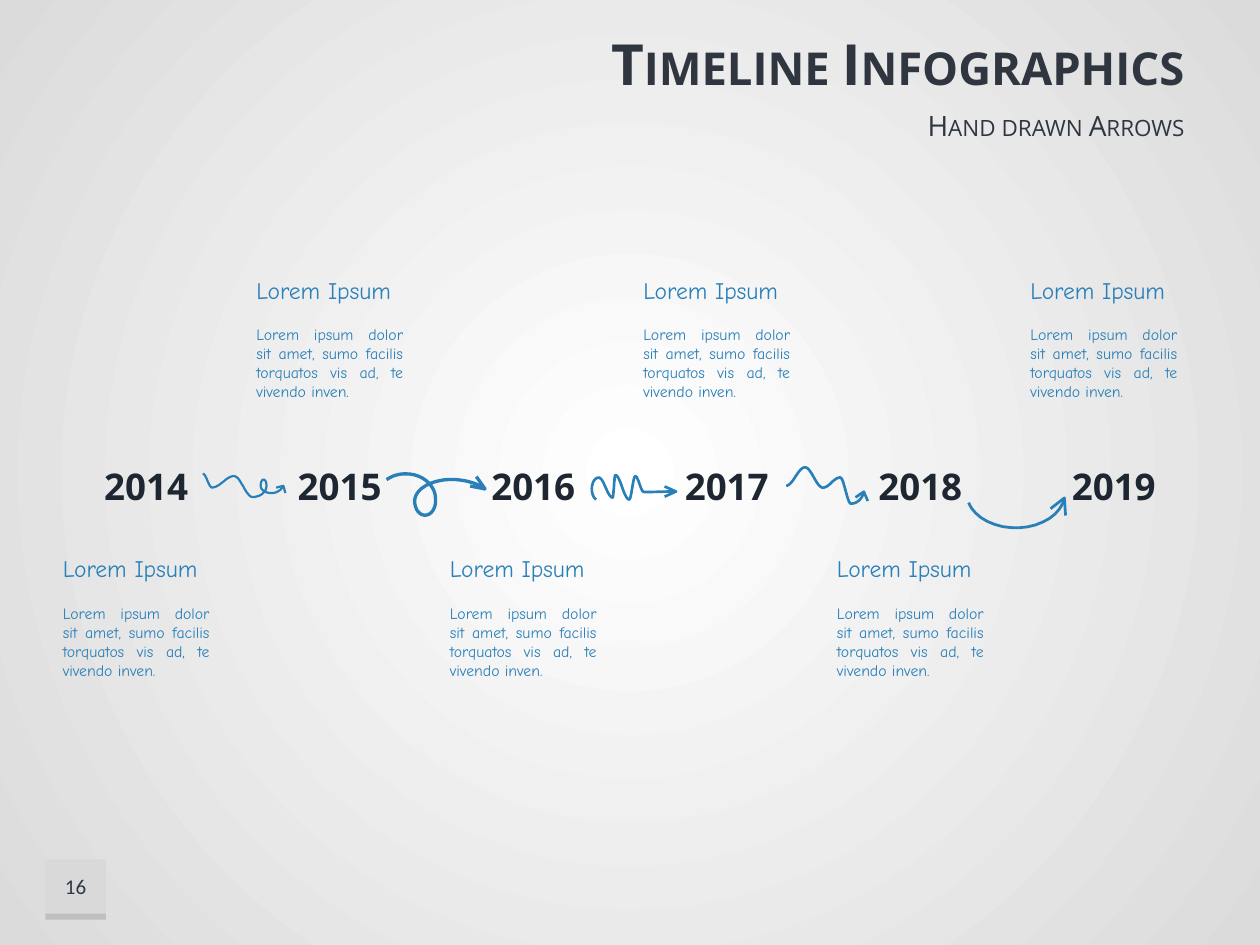
import math
from dataclasses import dataclass

from pptx import Presentation
from pptx.dml.color import RGBColor
from pptx.enum.shapes import MSO_SHAPE
from pptx.enum.text import MSO_ANCHOR, PP_ALIGN
from pptx.oxml import parse_xml
from pptx.oxml.ns import nsdecls, qn
from pptx.util import Inches, Pt

RECT = MSO_SHAPE.RECTANGLE
TOP, MIDDLE = MSO_ANCHOR.TOP, MSO_ANCHOR.MIDDLE
LEFT, CENTER, RIGHT, JUSTIFY = (PP_ALIGN.LEFT, PP_ALIGN.CENTER,
                                PP_ALIGN.RIGHT, PP_ALIGN.JUSTIFY)
WHITE = RGBColor(0xFF, 0xFF, 0xFF)
EDGE = RGBColor(0xDB, 0xDB, 0xDB)
TILE = RGBColor(0xD9, 0xD9, 0xD9)
BAR = RGBColor(0xBF, 0xBF, 0xBF)
SLATE = RGBColor(0x2F, 0x36, 0x40)
NUMBER = RGBColor(0x2F, 0x3A, 0x46)
INK = RGBColor(0x1D, 0x26, 0x31)
BLUE = RGBColor(0x29, 0x7F, 0xB8)

FIRST_YEAR, YEAR_COUNT = 2014, 6
HEADING = "Lorem Ipsum"
BODY = "Lorem ipsum dolor sit amet, sumo facilis torquatos vis ad, te vivendo inven."
PITCH = 1.536       # inches from one year to the next
STEPS = 16          # points per curve piece
UNITS = 1000        # freeform units per inch


def wave(*crests):
    """Swing through the crests, flat at each one."""
    points = []
    for (x0, y0), (x1, y1) in zip(crests, crests[1:]):
        for i in range(STEPS + 1):
            t = i / STEPS
            ease = (1 - math.cos(math.pi * t)) / 2
            points.append((x0 + (x1 - x0) * t, y0 + (y1 - y0) * ease))
    return points


def arc(cx, cy, rx, ry, start, sweep):
    """Part of an ellipse; degrees run clockwise from the right."""
    angles = (math.radians(start + sweep * i / STEPS) for i in range(STEPS + 1))
    return [(cx + rx * math.cos(a), cy + ry * math.sin(a)) for a in angles]


# Each curve is in shares of its arrow's box; its pieces join end to end.
def wave_with_curl():
    return (wave((0.03, 0.05), (0.14, 0.57), (0.4, 0.14), (0.62, 0.93))
            + arc(0.62, 0.5, 0.165, 0.43, 90, -90)      # rise into the curl
            + arc(0.75, 0.5, 0.035, 0.23, 0, -180)      # over its top
            + arc(0.84, 0.5, 0.125, 0.28, 180, -90)     # down and out
            + arc(0.84, 0.3, 0.16, 0.48, 90, -65))      # up to the tip


def big_loop():
    return (arc(0.19, 0.6, 0.3, 0.57, -130, 130)        # over and down
            + arc(0.385, 0.65, 0.105, 0.32, 0, 180)     # round the bottom
            + arc(0.65, 0.65, 0.37, 0.49, 180, 90)      # back up
            + arc(0.65, 0.76, 0.44, 0.6, -90, 50))      # down to the tip


def zigzag():
    return (arc(0.09, 0.55, 0.08, 0.41, 112, 158)       # opening hook
            + wave((0.09, 0.14), (0.25, 0.86), (0.28, 0.05), (0.44, 0.93),
                   (0.51, 0.09), (0.61, 0.66), (0.98, 0.64)))


def falling_wave():
    return (wave((0, 0.5), (0.24, 0.03), (0.47, 0.55), (0.69, 0.29), (0.83, 0.96))
            + arc(0.83, 0.55, 0.17, 0.41, 90, -75))     # up to the tip


def deep_bow():
    return arc(0.49, -0.1, 0.5, 1.06, 164, -156)


@dataclass
class Arrow:
    curve: list
    box: tuple          # left and top from the timeline's corner, width, height
    barb: float         # length of the head's strokes
    spread: float       # degrees between the shaft and each barb
    weight: float


ARROWS = [
    Arrow(wave_with_curl(), (1.19, 1.61, 0.67, 0.21), 0.06, 45, 1.25),
    Arrow(big_loop(), (2.67, 1.61, 0.79, 0.35), 0.12, 22, 1.9),
    Arrow(zigzag(), (4.29, 1.62, 0.69, 0.22), 0.1, 24, 1.5),
    Arrow(falling_wave(), (5.84, 1.56, 0.62, 0.31), 0.08, 40, 1.5),
    Arrow(deep_bow(), (7.28, 1.8, 0.78, 0.26), 0.14, 28, 1.6),
]


def set_background(s):
    fill = s.background.fill
    fill.gradient()
    for stop, color in zip(fill.gradient_stops, (WHITE, EDGE)):
        stop.color.rgb = color
    grad = s.element.find(".//" + qn("a:gradFill"))
    grad.remove(grad.find(qn("a:lin")))
    grad.append(parse_xml(
        f'<a:path {nsdecls("a")} path="circle">'
        '<a:fillToRect l="50000" t="50000" r="50000" b="50000"/></a:path>'))


def add_text(s, box, text, font, size, color, align=LEFT, anchor=MIDDLE,
             bold=False, small_caps=False, wrap=True):
    tf = s.shapes.add_textbox(*map(Inches, box)).text_frame
    tf.word_wrap = wrap
    tf.vertical_anchor = anchor
    p = tf.paragraphs[0]
    p.text = text
    p.alignment = align
    r = p.runs[0]
    r.font.name, r.font.size, r.font.bold = font, Pt(size), bold
    r.font.color.rgb = color
    if small_caps:
        r.font._element.set("cap", "small")


def add_titles(s, x, y, w, h):
    split = 0.69 * h
    add_text(s, (x, y + split, w, h - split), "Hand drawn Arrows", "Open Sans", 16,
             SLATE, RIGHT, small_caps=True)
    add_text(s, (x, y, w, split), "Timeline Infographics", "Open Sans", 32.4,
             SLATE, RIGHT, bold=True, small_caps=True)


def add_page_number(s, x, y, size):
    bar = 0.1 * size
    for top, height, color in ((y, size, TILE), (y + size - bar, bar, BAR)):
        sp = s.shapes.add_shape(RECT, *map(Inches, (x, top, size, height)))
        sp.shadow.inherit = False
        sp.fill.solid()
        sp.fill.fore_color.rgb = color
        sp.line.fill.background()
    add_text(s, (x, y, size, size - bar), "16", "Calibri", 12, NUMBER, CENTER)


def arrow_head(shaft, barb, spread):
    """Barb end, tip, barb end: both barbs lean back from the shaft's direction."""
    (x0, y0), (x1, y1) = shaft[-3], shaft[-1]
    back = math.atan2(y0 - y1, x0 - x1)
    ends = [(x1 + barb * math.cos(back + turn), y1 + barb * math.sin(back + turn))
            for turn in (math.radians(spread), -math.radians(spread))]
    return [ends[0], (x1, y1), ends[1]]


def add_arrow(s, x, y, arrow):
    left, top, w, h = arrow.box
    shaft = [(x + left + w * u, y + top + h * v) for u, v in arrow.curve]
    head = arrow_head(shaft, arrow.barb, arrow.spread)
    shaft, head = ([(px * UNITS, py * UNITS) for px, py in stroke]
                   for stroke in (shaft, head))
    builder = s.shapes.build_freeform(*shaft[0], scale=Inches(1) / UNITS)
    builder.add_line_segments(shaft[1:], close=False)
    builder.move_to(*head[0])
    builder.add_line_segments(head[1:], close=False)
    sp = builder.convert_to_shape()
    sp.shadow.inherit = False
    sp.fill.background()
    sp.line.color.rgb = BLUE
    sp.line.width = Pt(arrow.weight)


def add_note(s, x, y):
    add_text(s, (x, y, 1.57, 0.33), HEADING, "Comic Neue", 13.5, BLUE, anchor=TOP)
    add_text(s, (x, y + 0.39, 1.36, 1.01), BODY, "Comic Neue", 9, BLUE, JUSTIFY, TOP)


def add_timeline(s, x, y):
    """Years in one row, with notes below and above it in turn."""
    for i in range(YEAR_COUNT):
        left = x + i * PITCH
        add_text(s, (left + 0.32, y + 1.49, 0.88, 0.45), str(FIRST_YEAR + i),
                 "Open Sans", 21, INK, CENTER, bold=True, wrap=False)
        add_note(s, left, y if i % 2 else y + 2.21)
    for arrow in ARROWS:
        add_arrow(s, x, y, arrow)


def main():
    prs = Presentation()
    prs.slide_width, prs.slide_height = Inches(10), Inches(7.5)
    s = prs.slides.add_slide(prs.slide_layouts[6])
    set_background(s)
    add_page_number(s, 0.36, 6.82, 0.48)
    add_titles(s, 1.95, 0.16, 7.55, 0.99)
    add_timeline(s, 0.4, 2.14)
    prs.save("out.pptx")


if __name__ == "__main__":
    main()
